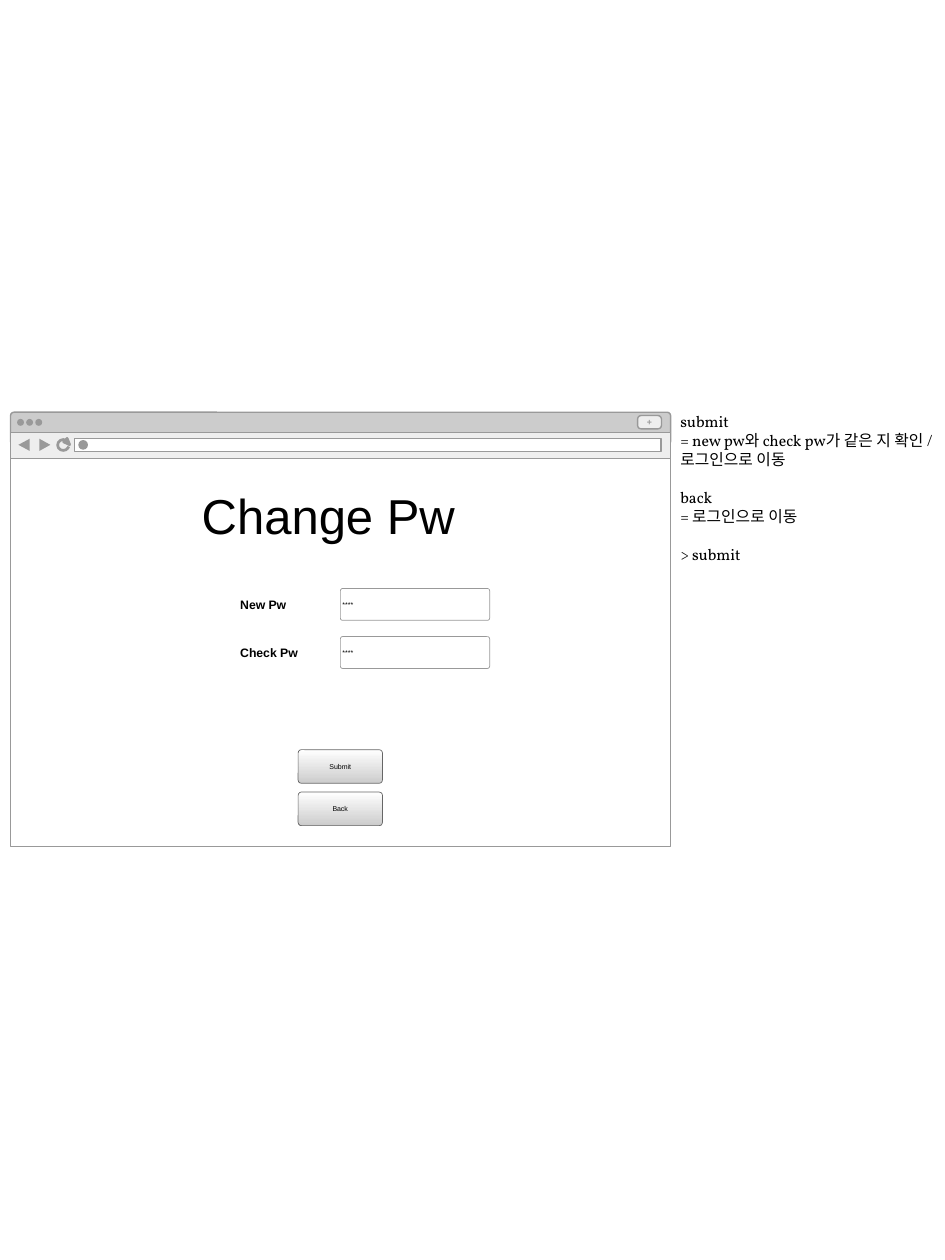
from pptx import Presentation
from pptx.dml.color import RGBColor
from pptx.enum.shapes import MSO_SHAPE
from pptx.enum.text import MSO_ANCHOR, PP_ALIGN
from pptx.util import Pt

RECTANGLE = MSO_SHAPE.RECTANGLE
ROUNDED = MSO_SHAPE.ROUNDED_RECTANGLE
OVAL = MSO_SHAPE.OVAL
ARC = MSO_SHAPE.ARC
LEFT = PP_ALIGN.LEFT
CENTER = PP_ALIGN.CENTER
TOP = MSO_ANCHOR.TOP
MIDDLE = MSO_ANCHOR.MIDDLE

BLACK = RGBColor(0x00, 0x00, 0x00)
WHITE = RGBColor(0xFF, 0xFF, 0xFF)
PALE_GRAY = RGBColor(0xEE, 0xEE, 0xEE)
LIGHT_GRAY = RGBColor(0xCC, 0xCC, 0xCC)
GRAY = RGBColor(0x99, 0x99, 0x99)
DARK_GRAY = RGBColor(0x66, 0x66, 0x66)

presentation = Presentation()
presentation.slide_width = Pt(540)
presentation.slide_height = Pt(720)
slide = presentation.slides.add_slide(presentation.slide_layouts[6])
shapes = slide.shapes


def add_box(kind, left, top, width, height, fill, line=None, line_width=0.79, radius=0):
    shape = shapes.add_shape(kind, Pt(left), Pt(top), Pt(width), Pt(height))
    shape.shadow.inherit = False
    if fill is None:
        shape.fill.background()
    else:
        shape.fill.solid()
        shape.fill.fore_color.rgb = fill
    if line is None:
        shape.line.fill.background()
    else:
        shape.line.color.rgb = line
        shape.line.width = Pt(line_width)
    if kind == ROUNDED:
        shape.adjustments[0] = radius / min(width, height)
    return shape


def write(shape, text, size, color=BLACK, bold=False, align=LEFT, anchor=MIDDLE, inset=0):
    frame = shape.text_frame
    frame.word_wrap = True
    frame.vertical_anchor = anchor
    frame.margin_left = frame.margin_right = Pt(inset)
    frame.margin_top = frame.margin_bottom = 0
    paragraph = frame.paragraphs[0]
    paragraph.text = text
    paragraph.alignment = align
    paragraph.font.name = "Arial"
    paragraph.font.size = Pt(size)
    paragraph.font.bold = bold
    paragraph.font.color.rgb = color


add_box(ROUNDED, 6, 235.6, 377.2, 18.6, LIGHT_GRAY, GRAY, radius=2)
add_box(RECTANGLE, 6, 262.1, 377.2, 221.8, WHITE, GRAY)
new_tab = add_box(ROUNDED, 364.4, 237.5, 13.6, 7.6, PALE_GRAY, GRAY, radius=2)
write(new_tab, "+", 5, GRAY, True, CENTER)
for index in range(3):
    add_box(OVAL, 9.8 + 5.2 * index, 239.4, 3.9, 3.9, GRAY)

add_box(RECTANGLE, 6, 247.1, 377.2, 15, PALE_GRAY, GRAY)
add_box(RECTANGLE, 42.5, 250.6, 335.3, 7.4, WHITE, GRAY)
add_box(OVAL, 44.8, 251.5, 5.5, 5.5, GRAY)
reload_arc = add_box(ARC, 33, 251.2, 6.4, 6.2, None, GRAY, 1.56)
reload_arc.adjustments[0] = 15 * 0.6
reload_arc.adjustments[1] = 340 * 0.6

back_arrow = [(10.5, 254.2), (17, 250.7), (17, 257.7)]
forward_arrow = [(28.8, 254.2), (22.5, 257.7), (22.5, 250.7)]
reload_arrow = [(39.8, 254.1), (36.4, 252.5), (38.4, 250.5)]
for points, outlined in [(back_arrow, False), (forward_arrow, False), (reload_arrow, True)]:
    corners = [(Pt(x), Pt(y)) for x, y in points]
    builder = shapes.build_freeform(*corners[0])
    builder.add_line_segments(corners[1:], close=True)
    arrow = builder.convert_to_shape()
    arrow.shadow.inherit = False
    arrow.fill.solid()
    arrow.fill.fore_color.rgb = GRAY
    if outlined:
        arrow.line.color.rgb = GRAY
        arrow.line.width = Pt(1.56)
    else:
        arrow.line.fill.background()

title = shapes.add_textbox(Pt(115.3), Pt(277.2), Pt(158.4), Pt(33.8))
write(title, "Change Pw", 28, anchor=TOP)

for index, name in enumerate(["New Pw", "Check Pw"]):
    top = 336.3 + 27.5 * index
    label = shapes.add_textbox(Pt(137.3), Pt(top + 4.8), Pt(41), Pt(8.6))
    write(label, name, 7, bold=True)
    field = add_box(ROUNDED, 194.5, top, 85.3, 18.2, WHITE, GRAY, 0.4, 1.3)
    write(field, "****", 4, inset=0.8)

for index, name in enumerate(["Submit", "Back"]):
    button = add_box(ROUNDED, 170.4, 428.4 + 24.2 * index, 48.2, 19.2, WHITE, DARK_GRAY, 0.4, 1.9)
    button.fill.gradient()
    button.fill.gradient_angle = 270
    for stop, color in zip(button.fill.gradient_stops, [WHITE, LIGHT_GRAY]):
        stop.color.rgb = color
    write(button, name, 4, align=CENTER)

notes = shapes.add_textbox(Pt(388.8), Pt(235.6), Pt(144.7), Pt(86.4))
notes_frame = notes.text_frame
notes_frame.word_wrap = True
notes_frame.margin_left = notes_frame.margin_right = 0
notes_frame.margin_top = notes_frame.margin_bottom = 0
note_lines = [
    ("submit", 0),
    ("= new pw와 check pw가 같은 지 확인 / 로그인으로 이동", 0),
    ("back", 10.8),
    ("= 로그인으로 이동", 0),
    ("> submit", 10.8),
]
for index, (text, gap) in enumerate(note_lines):
    paragraph = notes_frame.add_paragraph() if index else notes_frame.paragraphs[0]
    paragraph.text = text
    paragraph.space_before = Pt(gap)
    paragraph.line_spacing = Pt(10.8)
    paragraph.font.name = "Vollkorn"
    paragraph.font.size = Pt(9)
    paragraph.font.color.rgb = BLACK

presentation.save("out.pptx")
